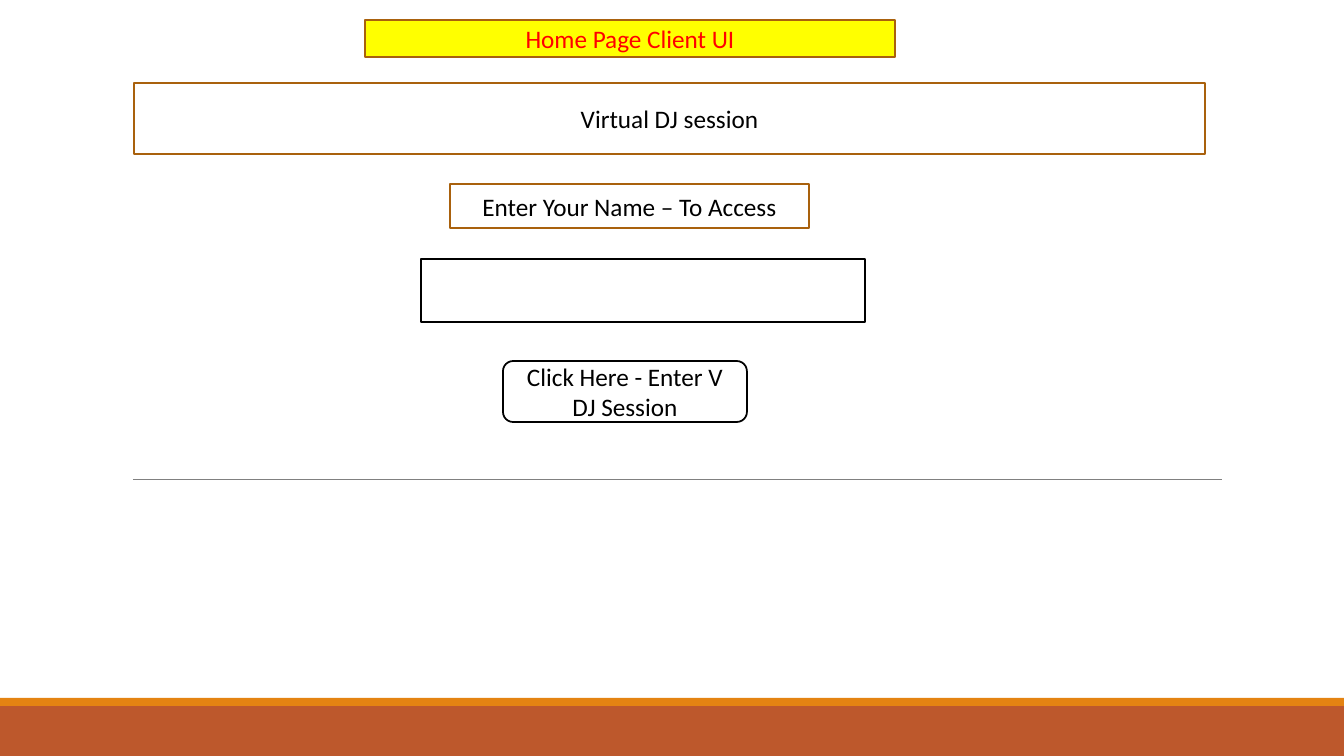
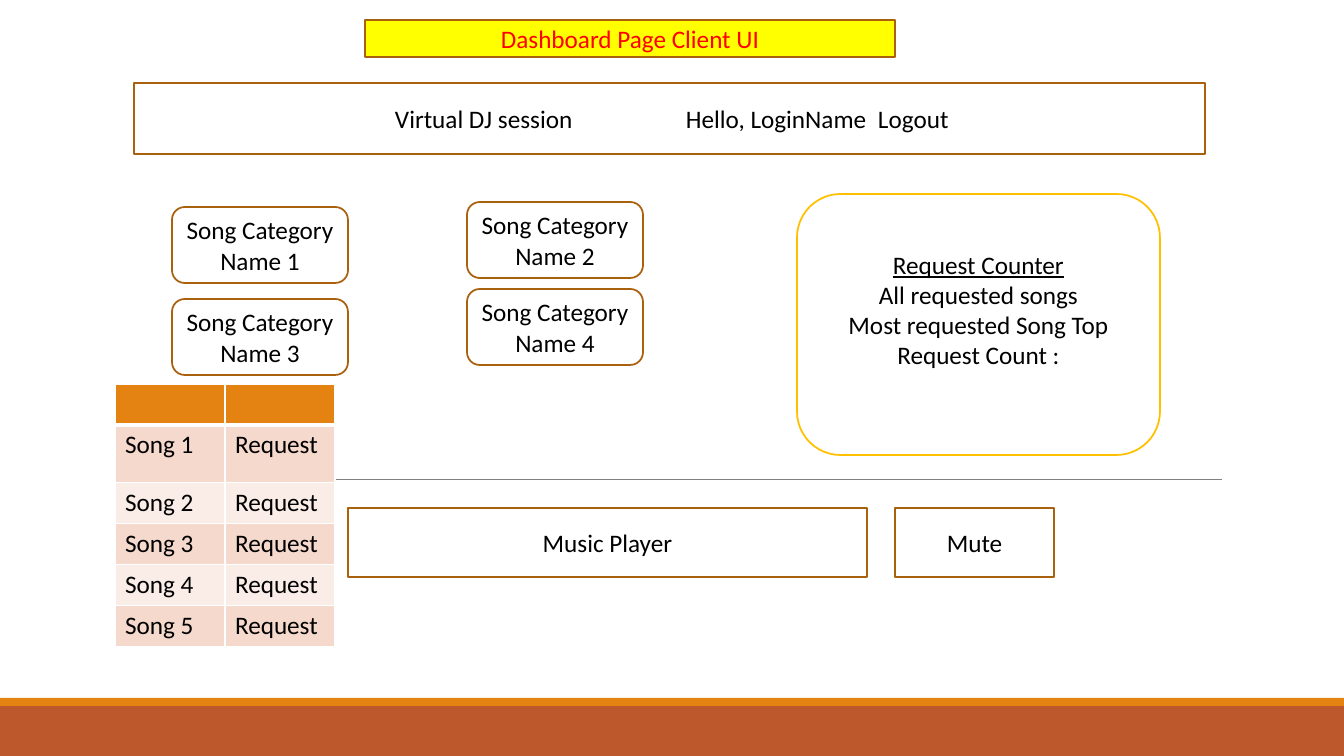
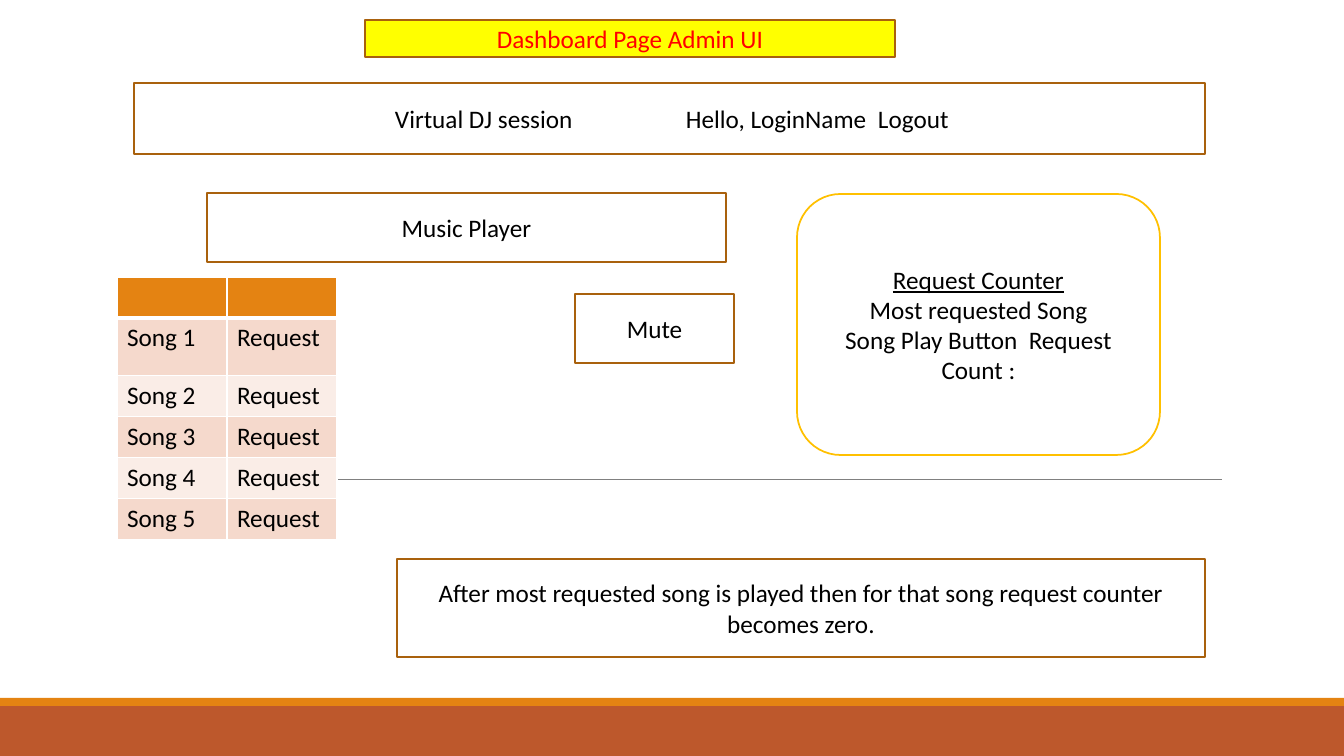
"""Build three wireframe slides for a virtual DJ session."""
from dataclasses import dataclass

from lxml.etree import SubElement
from pptx import Presentation
from pptx.dml.color import RGBColor
from pptx.enum.shapes import MSO_CONNECTOR, MSO_SHAPE
from pptx.enum.text import MSO_ANCHOR, PP_ALIGN
from pptx.oxml.ns import qn
from pptx.util import Pt

RECT, ROUND = MSO_SHAPE.RECTANGLE, MSO_SHAPE.ROUNDED_RECTANGLE
STRAIGHT = MSO_CONNECTOR.STRAIGHT
LEFT, CENTER = PP_ALIGN.LEFT, PP_ALIGN.CENTER
MIDDLE = MSO_ANCHOR.MIDDLE
WIDE, HIGH = 1344, 756
SCALE = 914400 / 100.8


@dataclass(frozen=True)
class Theme:
    """Colours and type sizes of the deck."""
    font: str = "Calibri"
    size: int = 18
    edge: float = 1.25
    thin: float = 0.5
    ink: str = "000000"
    paper: str = "FFFFFF"
    brown: str = "A9610D"
    gold: str = "FFC000"
    red: str = "FF0000"
    yellow: str = "FFFF00"
    rust: str = "BD582C"
    orange: str = "E48312"
    grey: str = "808080"
    bands: tuple = ("F5D9CC", "FAEDE7")


THEME = Theme()


def px(count):
    """Turn pixels into EMU."""
    return round(count * SCALE)


def rgb(code):
    """Turn a hex code into a colour."""
    return RGBColor.from_string(code)


def paint(frame, ink=THEME.ink, align=CENTER):
    """Format all text in a frame."""
    for para in frame.paragraphs:
        para.alignment = align
        for run in para.runs:
            run.font.name = THEME.font
            run.font.size = Pt(THEME.size)
            run.font.color.rgb = rgb(ink)


def box(slide, at, text="", kind=RECT, fill=THEME.paper, edge=THEME.brown, ink=THEME.ink):
    """Draw an outlined or plain shape with centred text."""
    shape = slide.shapes.add_shape(kind, *map(px, at))
    shape.shadow.inherit = False
    shape.fill.solid()
    shape.fill.fore_color.rgb = rgb(fill)
    if edge:
        shape.line.color.rgb = rgb(edge)
        shape.line.width = Pt(THEME.edge)
    else:
        shape.line.fill.background()
    frame = shape.text_frame
    frame.word_wrap = True
    frame.vertical_anchor = MIDDLE
    frame.text = text
    paint(frame, ink)
    return shape


def rule(slide, left, right, top):
    """Draw a thin level line."""
    line = slide.shapes.add_connector(STRAIGHT, px(left), px(top), px(right), px(top))
    line.line.color.rgb = rgb(THEME.grey)
    line.line.width = Pt(THEME.thin)
    SubElement(line._element.spPr, qn("a:effectLst"))


def page(deck, title, user=False):
    """Add a slide with bands, line, header and title."""
    slide = deck.slides.add_slide(deck.slide_layouts[6])
    box(slide, (0, 706, WIDE, 50), fill=THEME.rust, edge=None)
    box(slide, (0, 698, WIDE, 8), fill=THEME.orange, edge=None)
    rule(slide, 133, 1222, 479)
    name = "Virtual DJ session"
    head = box(slide, (134, 83, 1071, 71), name)
    if user:
        frame = head.text_frame
        frame.text = f"{name}\tHello, LoginName\tLogout"
        frame.margin_left = px(261)
        paint(frame, align=LEFT)
        stops = SubElement(frame.paragraphs[0]._p.get_or_add_pPr(), qn("a:tabLst"))
        for stop in (291, 483):
            SubElement(stops, qn("a:tab"), pos=str(px(stop)), algn="l")
    box(slide, (365, 20, 530, 37), title, fill=THEME.yellow, ink=THEME.red)
    return slide


def border(cell, base):
    """Give a cell white borders with its own base width."""
    props = cell._tc.get_or_add_tcPr()
    for side, width in (("L", 1), ("R", 1), ("T", 1), ("B", base)):
        line = SubElement(props, qn(f"a:ln{side}"), w=str(Pt(width)))
        fill = SubElement(line, qn("a:solidFill"))
        SubElement(fill, qn("a:srgbClr"), val=THEME.paper)


def songs(slide, left, top):
    """Add the table of songs and requests."""
    rows = [("", "")] + [(f"Song {n}", "Request") for n in range(1, 6)]
    highs = (40, 58, 41, 41, 41, 41)
    at = map(px, (left, top, 220, sum(highs)))
    table = slide.shapes.add_table(len(rows), 2, *at).table
    for col in table.columns:
        col.width = px(110)
    for i, (row, high) in enumerate(zip(rows, highs)):
        table.rows[i].height = px(high)
        for j, text in enumerate(row):
            cell = table.cell(i, j)
            cell.text = text
            paint(cell.text_frame, align=LEFT)
            border(cell, 1 if i else 3)
            cell.fill.solid()
            cell.fill.fore_color.rgb = rgb(THEME.bands[(i - 1) % 2] if i else THEME.orange)


def counter(slide, lines, base=5):
    """Add the request counter with an underlined heading."""
    text = "\n".join(("Request Counter", *lines))
    card = box(slide, (797, 194, 363, 261), text, ROUND, edge=THEME.gold)
    card.text_frame.margin_bottom = px(base)
    card.text_frame.paragraphs[0].runs[0].font.underline = True


def player(slide, at, mute):
    """Add the music player and its mute button."""
    box(slide, (*at, 519, 69), "Music Player")
    box(slide, (*mute, 159, 69), "Mute")


def home(deck):
    """Build the home page."""
    slide = page(deck, "Home Page Client UI")
    box(slide, (421, 259, 444, 63), edge=THEME.ink)
    box(slide, (450, 184, 359, 44), "Enter Your Name – To Access")
    box(slide, (503, 361, 244, 61), "Click Here - Enter V DJ Session", ROUND, edge=THEME.ink)


def client(deck):
    """Build the client dashboard."""
    slide = page(deck, "Dashboard Page Client UI", True)
    spots = ((172, 207), (467, 202), (172, 299), (467, 289))
    for n, spot in enumerate(spots, 1):
        box(slide, (*spot, 176, 76), f"Song Category Name {n}", ROUND)
    counter(slide, ("All requested songs", "Most requested Song Top", "Request Count :"), 35)
    player(slide, (348, 508), (895, 508))
    songs(slide, 115, 384)


def admin(deck):
    """Build the admin dashboard."""
    slide = page(deck, "Dashboard Page Admin UI", True)
    counter(slide, ("Most requested Song", "Song Play Button  Request Count :"))
    player(slide, (207, 193), (575, 294))
    songs(slide, 117, 277)
    note = "After most requested song is played then for that song request counter becomes zero."
    box(slide, (397, 559, 808, 98), note)


def main():
    """Build and save the deck."""
    deck = Presentation()
    deck.slide_width, deck.slide_height = px(WIDE), px(HIGH)
    for build in (home, client, admin):
        build(deck)
    deck.save("out.pptx")


main()
